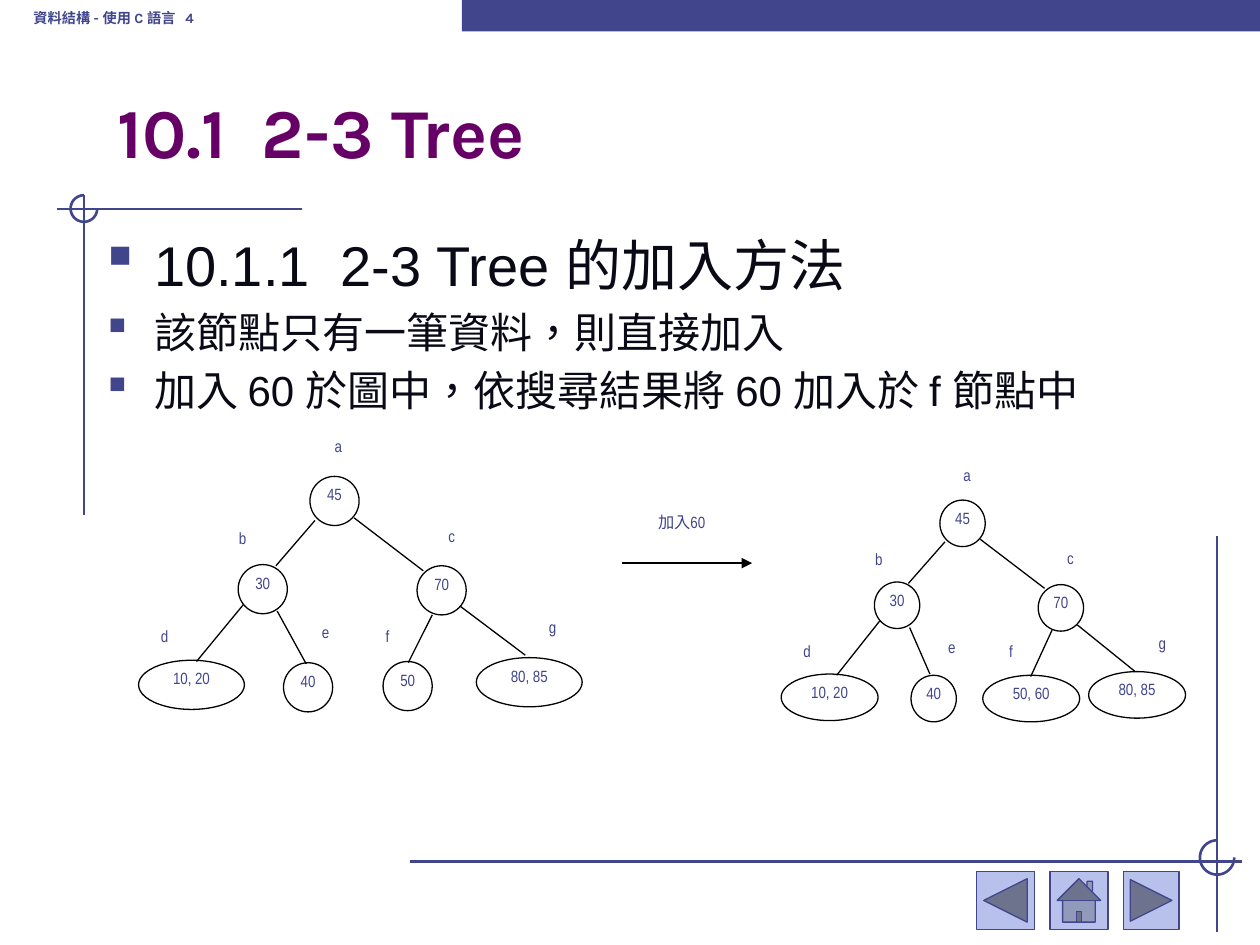
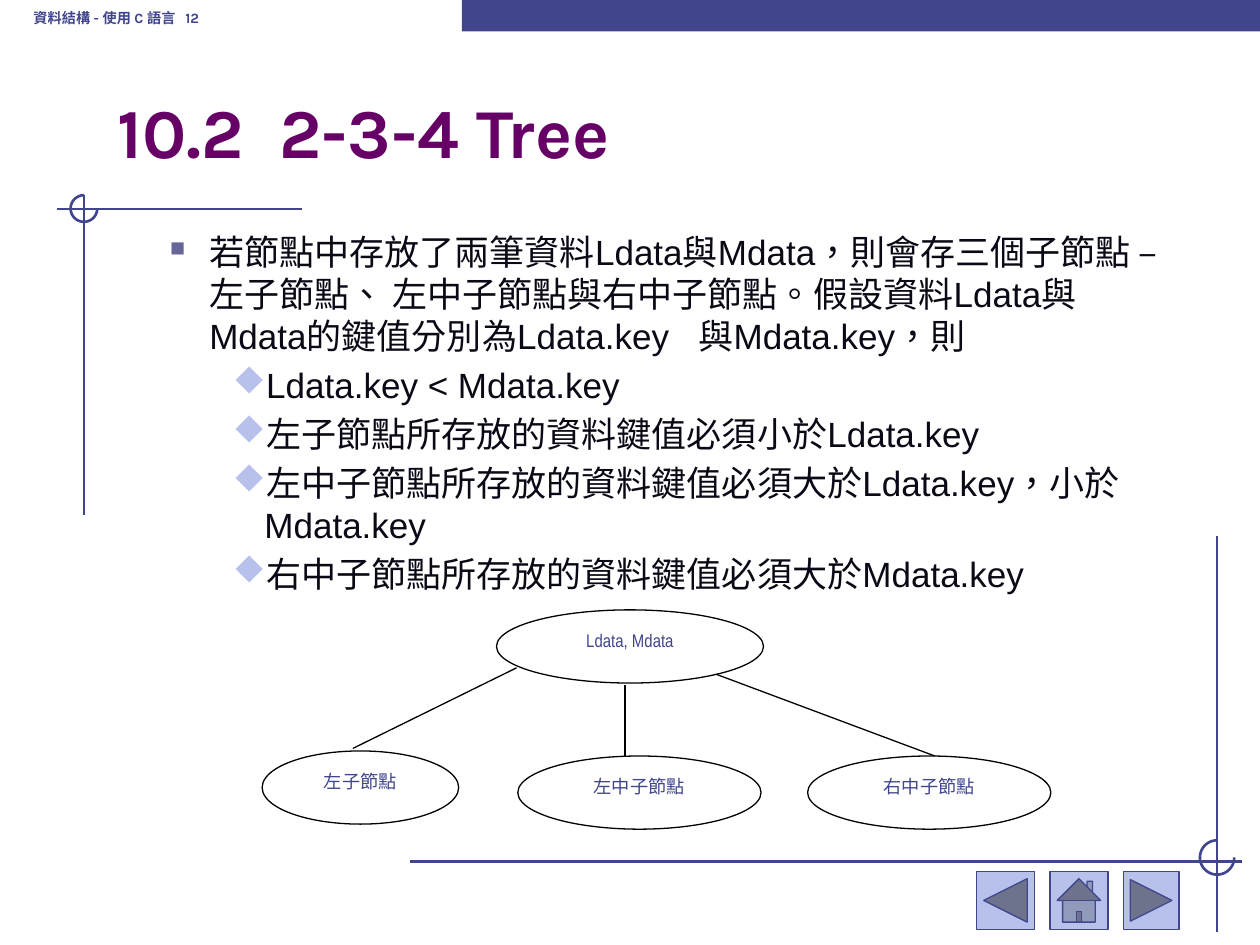
"""Builds two lecture slides on 2-3 and 2-3-4 trees."""
from math import cos, radians, sin

from lxml.etree import SubElement
from pptx import Presentation
from pptx.dml.color import RGBColor
from pptx.enum.shapes import MSO_CONNECTOR, MSO_SHAPE
from pptx.enum.text import MSO_ANCHOR, PP_ALIGN
from pptx.oxml.ns import qn
from pptx.util import Pt

COLORS = {"navy": "40458C", "lilac": "B7C1EB", "purple": "660066",
          "ink": "090A15", "slate": "666699", "black": "000000"}

COURSE = "資料結構 - 使用 C 語言   "

FONTS = {
    "course": {"name": "Karla", "size": Pt(14), "bold": True},
    "title": {"name": "Karla", "size": Pt(40), "bold": True},
    "heading": {"name": "Arial", "size": Pt(32)},
    "point": {"name": "Arial", "size": Pt(24)},
    "detail": {"name": "Arial", "size": Pt(20)},
    "node": {"name": "Arial Narrow", "size": Pt(16)},
    "wide node": {"name": "Arial Narrow", "size": Pt(18)},
}

BULLET_FONT = "Wingdings"
BULLETS = {
    "square": {"char": "§", "color": "navy", "percent": 110, "left": 27, "hang": 27},
    "block": {"char": "n", "color": "slate", "percent": 60, "left": 58.5, "hang": 22.5},
    "diamond": {"char": "u", "color": "lilac", "percent": 95, "left": 90, "hang": 18},
}

INSERTION = {
    "number": 4,
    "title": "10.1  2-3 Tree",
    "body_size": (605.5, 293),
    "body": [
        ("square", "heading", "10.1.1  2-3 Tree 的加入方法"),
        ("square", "point", "該節點只有一筆資料，則直接加入"),
        ("square", "point", "加入 60 於圖中，依搜尋結果將 60 加入於 f 節點中"),
    ],
}

DEFINITION = {
    "number": 12,
    "title": "10.2  2-3-4 Tree",
    "body_size": (617.8, 339),
    "body": [
        ("block", "detail", "若節點中存放了兩筆資料Ldata與Mdata，則會存三個子節點 – 左子節點、 "
         "左中子節點與右中子節點。假設資料Ldata與Mdata的鍵值分別為Ldata.key   與Mdata.key，則"),
        ("diamond", "detail", "Ldata.key < Mdata.key"),
        ("diamond", "detail", "左子節點所存放的資料鍵值必須小於Ldata.key"),
        ("diamond", "detail", "左中子節點所存放的資料鍵值必須大於Ldata.key，小於Mdata.key"),
        ("diamond", "detail", "右中子節點所存放的資料鍵值必須大於Mdata.key"),
    ],
}

BEFORE = {
    "circle": (28.1, 28.1), "oval": (60.5, 28.1), "label": (32.4, 20.2),
    "nodes": [
        ("a", "45", (177.1, 272.2), (177.1, 248.4)),
        ("b", "30", (136.1, 322.6), (122.4, 301)),
        ("c", "70", (238.3, 323.3), (241.9, 300.2)),
        ("d", "10, 20", (79.2, 377.3), (77.8, 357.1)),
        ("e", "40", (162, 378.7), (169.9, 355)),
        ("f", "50", (218.9, 378), (205.2, 357.1)),
        ("g", "80, 85", (272.2, 375.8), (299.5, 352.1)),
    ],
    "branches": [
        (180, 297.4, 157.7, 323.3), (202.3, 295.9, 241.9, 326.2),
        (139, 345.6, 112.3, 378), (158.4, 349.2, 175, 379.4),
        (247, 351.4, 233.3, 378.7), (262.8, 346.3, 300.2, 374.4),
    ],
}

AFTER = {
    "circle": (25.9, 26.6), "oval": (55.4, 26.6), "label": (29.5, 18.7),
    "nodes": [
        ("a", "45", (537.1, 285.8), (537.8, 265)),
        ("b", "30", (499.7, 332.6), (487.4, 313.2)),
        ("c", "70", (593.3, 334.1), (596.9, 312.5)),
        ("d", "10, 20", (446.4, 385.2), (446.4, 365.8)),
        ("e", "40", (520.6, 385.9), (529.2, 363.6)),
        ("f", "50, 60", (561.6, 385.9), (563, 365.8)),
        ("g", "80, 85", (622.1, 383.8), (649.4, 361.4)),
    ],
    "branches": [
        (540, 309.6, 519.1, 333.4), (560.2, 308.2, 596.9, 336.2),
        (502.6, 355, 478.1, 385.9), (519.8, 358.6, 531.4, 385.2),
        (601.2, 360, 589, 386.6), (615.6, 357.1, 648.7, 383.8),
    ],
}

STEP = ("加入60", (338.4, 288, 102.2, 29.5), (355.7, 321.8, 429.8, 321.8))

CHILDREN = [
    ("Ldata, Mdata", (283.7, 348.5, 152.6, 41.8)),
    ("左子節點", (149.8, 429.1, 112.3, 41.8)),
    ("左中子節點", (295.9, 432, 139, 41.8)),
    ("右中子節點", (461.5, 432, 139, 41.8)),
]
CHILD_BRANCHES = [(201.6, 427.7, 295.2, 381.6), (409, 385.2, 534.2, 432),
                  (357.1, 432.7, 357.1, 391.7)]

FRAME_LINES = [(172.8, 119.5, 32.4, 119.5), (48, 111.6, 48, 294.5),
               (234, 492.3, 709.9, 492.3), (695.5, 306, 695.5, 532.8)]
FRAME_ARCS = [(48, 119.2, 7.6), (695.5, 490, 9.8)]
BUTTONS = [(MSO_SHAPE.ACTION_BUTTON_BACK_OR_PREVIOUS, 558, 33.1),
           (MSO_SHAPE.ACTION_BUTTON_HOME, 600, 33.1),
           (MSO_SHAPE.ACTION_BUTTON_FORWARD_OR_NEXT, 642, 31.7)]


def rgb(color):
    return RGBColor.from_string(COLORS[color])


def points(values):
    return [Pt(value) for value in values]


def paint(shape, fill=None, line=None, width=0.75):
    shape.shadow.inherit = False
    if fill:
        shape.fill.solid()
        shape.fill.fore_color.rgb = rgb(fill)
    else:
        shape.fill.background()
    if line:
        shape.line.color.rgb = rgb(line)
        shape.line.width = Pt(width)
    else:
        shape.line.fill.background()


def draw_line(slide, ends, color="black", width=0.75, arrow=False):
    line = slide.shapes.add_connector(MSO_CONNECTOR.STRAIGHT, *points(ends))
    line.line.color.rgb = rgb(color)
    line.line.width = Pt(width)
    properties = line._element.spPr
    if arrow:
        SubElement(properties.find(qn("a:ln")), qn("a:tailEnd"), type="triangle")
    SubElement(properties, qn("a:effectLst"))


def draw_arc(slide, center_x, center_y, radius):
    curve = [(Pt(center_x + radius * cos(radians(angle))),
              Pt(center_y + radius * sin(radians(angle))))
             for angle in range(270, -1, -6)]
    builder = slide.shapes.build_freeform(*curve[0])
    builder.add_line_segments(curve[1:], close=False)
    paint(builder.convert_to_shape(), line="navy", width=1.5)


def set_frame(frame, anchor, inset=None):
    settings = {"word_wrap": True, "vertical_anchor": anchor}
    if inset is not None:
        settings.update({f"margin_{side}": Pt(inset)
                         for side in ("left", "top", "right", "bottom")})
    for attribute, value in settings.items():
        setattr(frame, attribute, value)


def write(paragraph, text, style, color, raised=False):
    run = paragraph.add_run()
    run.text = text
    for attribute, value in FONTS[style].items():
        setattr(run.font, attribute, value)
    run.font.color.rgb = rgb(color)
    properties = run._r.get_or_add_rPr()
    properties.set("lang", "zh-TW")
    if raised:
        properties.set("baseline", "30000")


def write_box(slide, box, text, style, color, raised=False):
    frame = slide.shapes.add_textbox(*points(box)).text_frame
    set_frame(frame, MSO_ANCHOR.BOTTOM)
    write(frame.paragraphs[0], text, style, color, raised)


def write_centered(shape, text, style="node", anchor=MSO_ANCHOR.TOP):
    set_frame(shape.text_frame, anchor, 0)
    paragraph = shape.text_frame.paragraphs[0]
    paragraph.alignment = PP_ALIGN.CENTER
    paragraph.line_spacing = 0.96
    write(paragraph, text, style, "navy", raised=True)


def draw_oval(slide, box, text, line="black", **text_format):
    oval = slide.shapes.add_shape(MSO_SHAPE.OVAL, *points(box))
    paint(oval, line=line)
    write_centered(oval, text, **text_format)


def add_bullet(paragraph, bullet):
    properties = paragraph._p.get_or_add_pPr()
    properties.set("marL", str(Pt(bullet["left"])))
    properties.set("indent", str(-Pt(bullet["hang"])))
    tint = SubElement(properties, qn("a:buClr"))
    SubElement(tint, qn("a:srgbClr"), val=COLORS[bullet["color"]])
    SubElement(properties, qn("a:buSzPct"), val=str(bullet["percent"] * 1000))
    SubElement(properties, qn("a:buFont"), typeface=BULLET_FONT, pitchFamily="2", charset="2")
    SubElement(properties, qn("a:buChar"), char=bullet["char"])


def write_body(slide, size, items):
    frame = slide.shapes.add_textbox(*points((54, 128.2, *size))).text_frame
    set_frame(frame, MSO_ANCHOR.TOP)
    for index, (bullet, style, text) in enumerate(items):
        paragraph = frame.add_paragraph() if index else frame.paragraphs[0]
        add_bullet(paragraph, BULLETS[bullet])
        if index:
            paragraph.space_before = Pt(FONTS[style]["size"].pt * 0.2)
        write(paragraph, text, style, "ink")


def add_page(deck, content):
    slide = deck.slides.add_slide(deck.slide_layouts[6])
    for ends in FRAME_LINES:
        draw_line(slide, ends, "navy", 1.5)
    for arc in FRAME_ARCS:
        draw_arc(slide, *arc)
    band = slide.shapes.add_shape(MSO_SHAPE.RECTANGLE, *points((264, 0, 456, 18)))
    paint(band, fill="navy")
    for kind, left, width in BUTTONS:
        button = slide.shapes.add_shape(kind, *points((left, 498, width, 33.1)))
        paint(button, fill="lilac", line="navy")
    write_box(slide, (12, -12, 222, 36), f"{COURSE}{content['number']}",
              "course", "navy", raised=True)
    write_box(slide, (60, 42, 612, 60), content["title"], "title", "purple")
    write_body(slide, content["body_size"], content["body"])
    return slide


def draw_tree(slide, tree):
    for name, value, node_corner, label_corner in tree["nodes"]:
        size = tree["oval" if "," in value else "circle"]
        draw_oval(slide, (*node_corner, *size), value)
        label = slide.shapes.add_textbox(*points((*label_corner, *tree["label"])))
        write_centered(label, name)
    for ends in tree["branches"]:
        draw_line(slide, ends)


def main():
    deck = Presentation()
    deck.slide_width, deck.slide_height = Pt(720), Pt(540)

    insertion = add_page(deck, INSERTION)
    for tree in (BEFORE, AFTER):
        draw_tree(insertion, tree)
    caption, caption_box, arrow_ends = STEP
    draw_oval(insertion, caption_box, caption, line=None)
    draw_line(insertion, arrow_ends, arrow=True)

    definition = add_page(deck, DEFINITION)
    for text, box in CHILDREN:
        draw_oval(definition, box, text, style="wide node", anchor=MSO_ANCHOR.MIDDLE)
    for ends in CHILD_BRANCHES:
        draw_line(definition, ends)

    deck.save("out.pptx")


if __name__ == "__main__":
    main()
